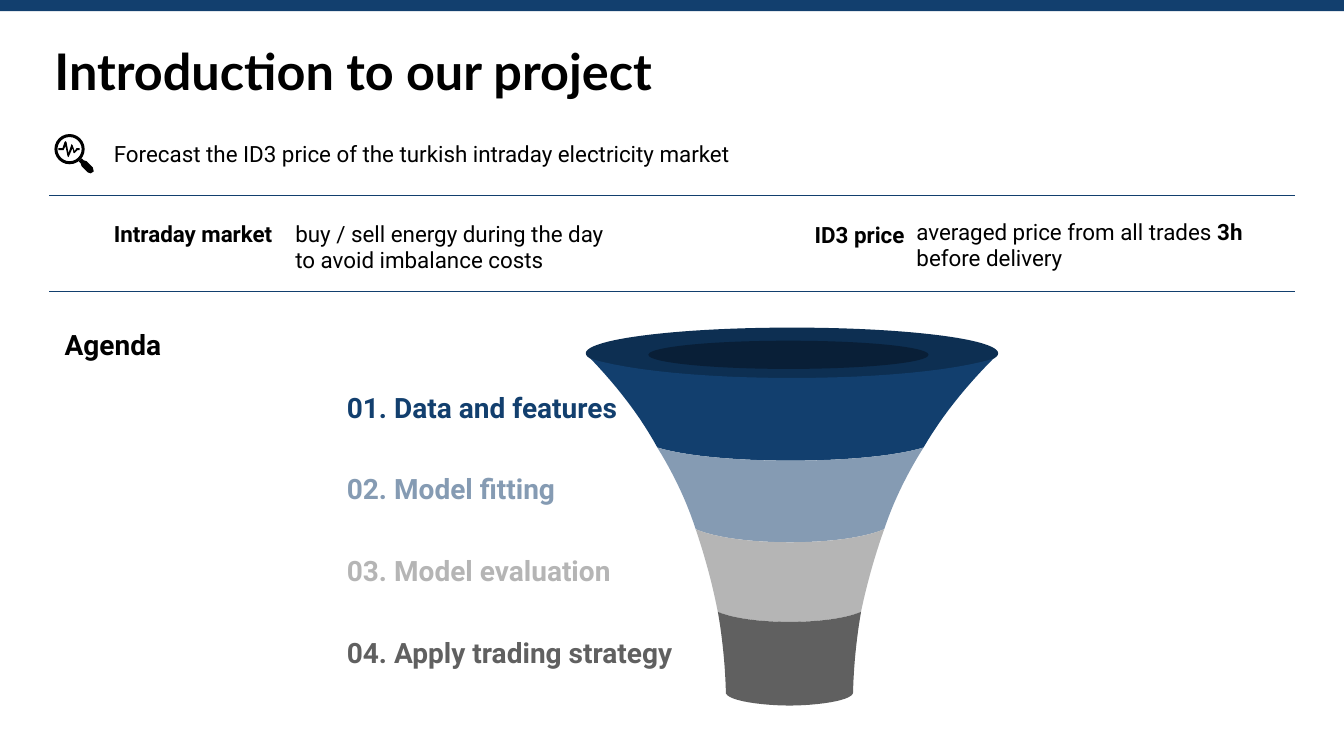
from dataclasses import dataclass

from lxml import etree
from pptx import Presentation
from pptx import util as u
from pptx.dml.color import RGBColor
from pptx.enum import shapes, text
from pptx.oxml import ns

NAVY = RGBColor(0x12, 0x3F, 0x6E)
RIM = RGBColor(0x0D, 0x2F, 0x52)
HOLE = RGBColor(0x09, 0x1F, 0x37)
STEEL = RGBColor(0x85, 0x9B, 0xB3)
SILVER = RGBColor(0xB5, 0xB5, 0xB5)
GRAY = RGBColor(0x60, 0x60, 0x60)
BLACK = RGBColor(0, 0, 0)

Point = tuple[float, float]
STEPS = 12  # straight pieces per curve


@dataclass
class Seam:
    """Curved edge between two funnel bands."""
    left: float
    right: float
    y: float
    bottom: float
    shoulder: float = 0.2


@dataclass
class Band:
    label: str
    color: RGBColor
    bow: float  # inward bend of the sides


SEAMS = [
    Seam(5.86, 9.85, 3.56, 3.75),
    Seam(6.52, 9.16, 4.44, 4.57),
    Seam(6.9, 8.77, 5.25, 5.38),
    Seam(7.12, 8.54, 6.07, 6.17),
    Seam(7.2, 8.46, 6.88, 7.0, shoulder=0.05),
]
BANDS = [
    Band("01. Data and features", NAVY, 0.06),
    Band("02. Model fitting", STEEL, 0.04),
    Band("03. Model evaluation", SILVER, 0.02),
    Band("04. Apply trading strategy", GRAY, 0.02),
]
LABEL_LEFT, LABEL_TOP, LABEL_STEP = 3.44, 3.87, 0.81

HANDLE = [(0.78, 1.6), (0.8, 1.62), (0.81, 1.65), (0.87, 1.71), (0.9, 1.72),
          (0.93, 1.7), (0.92, 1.66), (0.86, 1.6), (0.83, 1.59), (0.81, 1.57)]
PULSE = [(0.79, 1.47), (0.76, 1.47), (0.74, 1.5), (0.72, 1.44), (0.71, 1.43),
         (0.68, 1.52), (0.66, 1.41), (0.65, 1.4), (0.64, 1.41), (0.62, 1.47),
         (0.58, 1.47), (0.58, 1.49), (0.63, 1.49), (0.65, 1.45), (0.67, 1.55),
         (0.68, 1.56), (0.72, 1.47), (0.73, 1.52), (0.74, 1.52), (0.77, 1.49),
         (0.79, 1.49)]


def curve(a: Point, b: Point, c: Point, d: Point) -> list[Point]:
    """Points along a cubic curve from a to d."""
    points = []
    for step in range(STEPS + 1):
        t = step / STEPS
        weights = ((1 - t) ** 3, 3 * t * (1 - t) ** 2, 3 * t * t * (1 - t), t ** 3)
        points.append((sum(w * p[0] for w, p in zip(weights, (a, b, c, d))),
                       sum(w * p[1] for w, p in zip(weights, (a, b, c, d)))))
    return points


def seam_points(seam: Seam) -> list[Point]:
    """Seam from left to right."""
    half = (seam.right - seam.left) / 2
    middle = seam.left + half
    shoulder_y = seam.y + 0.62 * (seam.bottom - seam.y)
    left_part = curve((seam.left, seam.y),
                      (seam.left + seam.shoulder * half, shoulder_y),
                      (middle - 0.43 * half, seam.bottom), (middle, seam.bottom))
    return left_part + [(2 * middle - x, y) for x, y in reversed(left_part)]


def side_points(start: Point, end: Point, bow: float) -> list[Point]:
    """Side of a band, bent by bow along x."""
    dx, dy = (end[0] - start[0]) / 3, (end[1] - start[1]) / 3
    return curve(start, (start[0] + dx + bow, start[1] + dy),
                 (end[0] - dx + bow, end[1] - dy), end)


def paint(shape, color: RGBColor) -> None:
    shape.fill.solid()
    shape.fill.fore_color.rgb = color
    shape.line.fill.background()
    shape.shadow.inherit = False


def add_preset(slide, kind, left: float, top: float, width: float, height: float,
               color: RGBColor):
    shape = slide.shapes.add_shape(kind, u.Inches(left), u.Inches(top),
                                   u.Inches(width), u.Inches(height))
    paint(shape, color)
    return shape


def add_outline(slide, points: list[Point], color: RGBColor) -> None:
    corners = [(u.Inches(x), u.Inches(y)) for x, y in points]
    builder = slide.shapes.build_freeform(*corners[0])
    builder.add_line_segments(corners[1:], close=True)
    paint(builder.convert_to_shape(), color)


def add_rule(slide, y: float) -> None:
    line = slide.shapes.add_connector(shapes.MSO_CONNECTOR.STRAIGHT, u.Inches(0.49),
                                      u.Inches(y), u.Inches(12.84), u.Inches(y))
    line.line.color.rgb = NAVY
    line.line.width = u.Pt(1)
    properties = line._element.find(ns.qn("p:spPr"))
    etree.SubElement(properties, ns.qn("a:effectLst"))


def add_text(slide, lines: list[list[str]], left: float, top: float,
             width: float, height: float, *, size: int = 16,
             bold: tuple[str, ...] | bool = False, color: RGBColor = BLACK,
             font: str = "Roboto") -> None:
    """Each line is a list of runs; bold is a flag or the runs that are bold."""
    box = slide.shapes.add_textbox(u.Inches(left), u.Inches(top),
                                   u.Inches(width), u.Inches(height))
    frame = box.text_frame
    frame.margin_left = frame.margin_right = frame.margin_top = frame.margin_bottom = 0
    frame.word_wrap = False
    frame.vertical_anchor = text.MSO_ANCHOR.TOP
    for index, line in enumerate(lines):
        paragraph = frame.add_paragraph() if index else frame.paragraphs[0]
        paragraph.alignment = text.PP_ALIGN.LEFT
        for words in line:
            run = paragraph.add_run()
            run.text = words
            run.font.name = font
            run.font.size = u.Pt(size)
            run.font.bold = bold if isinstance(bold, bool) else words in bold
            run.font.color.rgb = color


def add_funnel(slide) -> None:
    add_preset(slide, shapes.MSO_SHAPE.OVAL, 5.81, 3.25, 4.09, 0.51, RIM)
    add_preset(slide, shapes.MSO_SHAPE.OVAL, 6.43, 3.38, 2.78, 0.28, HOLE)
    for index, (band, upper, lower) in enumerate(zip(BANDS, SEAMS, SEAMS[1:])):
        right = side_points((upper.right, upper.y), (lower.right, lower.y), -band.bow)
        left = side_points((lower.left, lower.y), (upper.left, upper.y), band.bow)
        add_outline(slide, seam_points(upper) + right + seam_points(lower)[::-1] + left,
                    band.color)
        add_text(slide, [[band.label]], LABEL_LEFT, LABEL_TOP + index * LABEL_STEP,
                 3.5, 0.4, size=20, bold=True, color=band.color)


def add_magnifier(slide) -> None:
    lens = add_preset(slide, shapes.MSO_SHAPE.DONUT, 0.54, 1.33, 0.3, 0.3, BLACK)
    lens.adjustments[0] = 0.1
    add_outline(slide, HANDLE, BLACK)
    add_outline(slide, PULSE, BLACK)


def main() -> None:
    presentation = Presentation()
    presentation.slide_width = u.Inches(13.33)
    presentation.slide_height = u.Inches(7.5)
    slide = presentation.slides.add_slide(presentation.slide_layouts[6])

    # Header
    add_preset(slide, shapes.MSO_SHAPE.RECTANGLE, 0, 0, 13.33, 0.11, NAVY)
    add_text(slide, [["Introduction to our project"]], 0.54, 0.4, 8.82, 1,
             size=36, bold=True, font="Lato")

    # Goal
    add_magnifier(slide)
    add_text(slide, [["Forecast the ID3 price of the turkish intraday electricity market"]],
             1.13, 1.39, 6.5, 0.4)

    # Definitions between two rules
    add_rule(slide, 1.94)
    add_text(slide, [["Intraday market"]], 1.13, 2.18, 1.7, 0.39, bold=True)
    add_text(slide, [["buy / sell energy during the day"], ["to avoid imbalance costs"]],
             2.93, 2.18, 3.4, 0.6)
    add_text(slide, [["ID3 price"]], 8.08, 2.19, 1, 0.39, bold=True)
    add_text(slide, [["averaged price from all trades ", "3h"], ["before delivery"]],
             9.09, 2.16, 3.6, 0.6, bold=("3h",))
    add_rule(slide, 2.89)

    # Agenda
    add_text(slide, [["Agenda"]], 0.64, 3.25, 1.2, 0.4, size=20, bold=True)
    add_funnel(slide)

    presentation.save("out.pptx")


if __name__ == "__main__":
    main()
